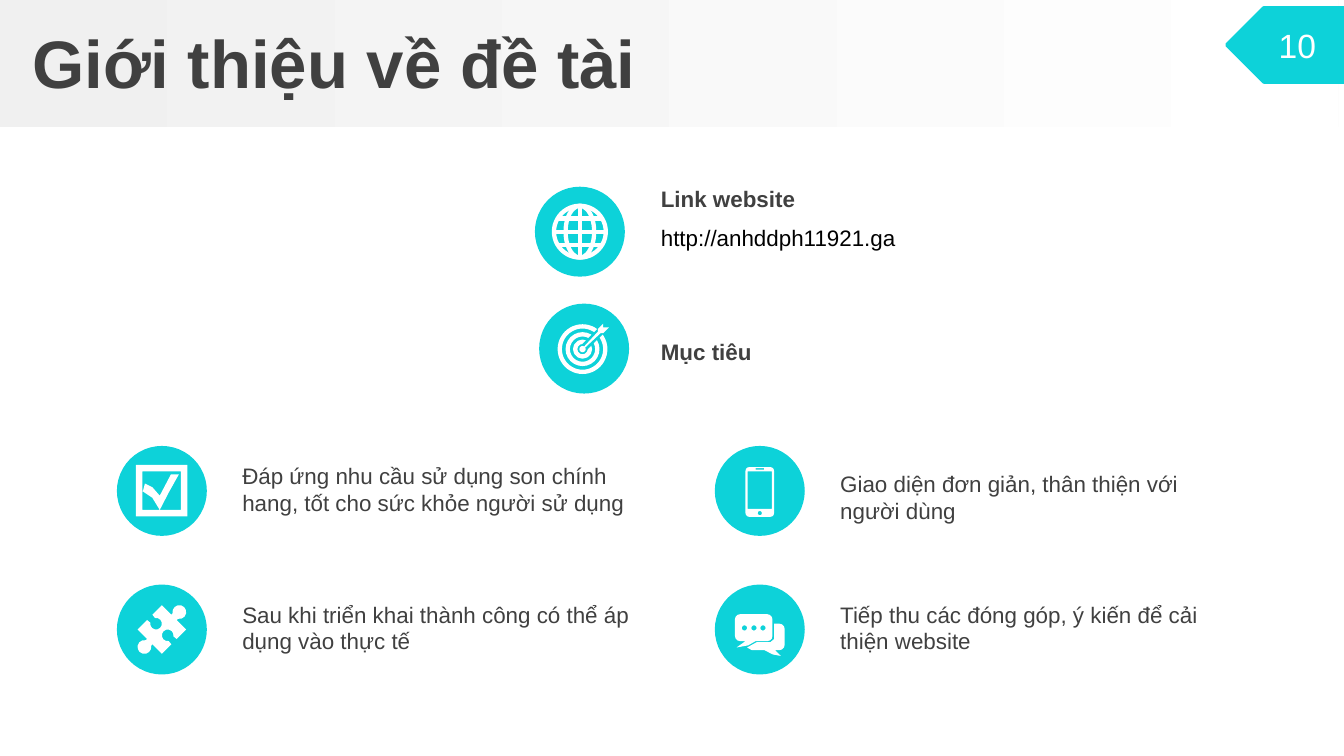
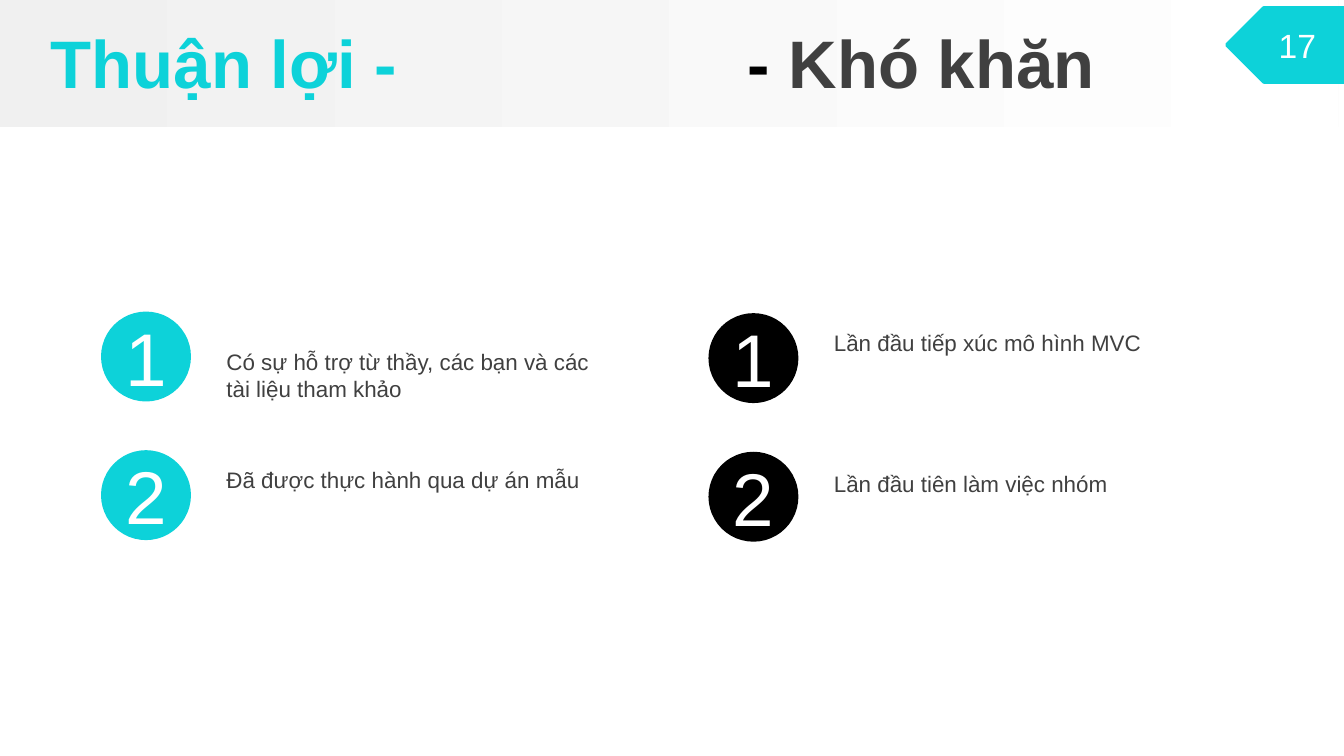
from dataclasses import dataclass
from math import cos, radians, sin

from lxml import etree
from pptx import Presentation
from pptx import util as u
from pptx.dml.color import RGBColor
from pptx.enum import shapes, text
from pptx.oxml.ns import qn


@dataclass(frozen=True)
class Theme:
    font: str = "Arial"
    cyan: str = "0DD2D9"
    dark: str = "404040"
    black: str = "000000"
    white: str = "FFFFFF"
    grey: str = "F0F0F0"
    head: int = 36
    digit: int = 40
    page: int = 18
    body: int = 12
    stroke: float = 2.3
    badge: float = 1.7
    gap: float = 2.12
    width: float = 7.87


def arc(x, y, r, start=0, end=360):
    count = max(2, round(abs(end - start) / 30))
    angles = [radians(start + (end - start) * i / count) for i in range(count + 1)]
    return [(x + r * cos(a), y + r * sin(a)) for a in angles]


def box(left, top, right, low, r=0):
    if not r:
        return [(left, top), (right, top), (right, low), (left, low)]
    return (arc(left + r, top + r, r, 180, 270) + arc(right - r, top + r, r, 270, 360)
            + arc(right - r, low - r, r, 0, 90) + arc(left + r, low - r, r, 90, 180))


def check():
    tick = [(-0.36, 0.01), (-0.32, -0.14), (-0.18, -0.07), (-0.04, 0.09), (0.17, -0.31),
            (0.32, -0.31), (0.13, 0.03), (-0.04, 0.36), (-0.18, 0.13)]
    return [box(-0.49, -0.49, 0.48, 0.48), box(-0.37, -0.37, 0.36, 0.36), tick]


def puzzle():
    half = ([(0, -0.46), (0.18, -0.28)] + arc(0.33, -0.33, 0.13, 170, 460)
            + [(0.28, -0.18), (0.46, 0), (0.28, 0.18)]
            + arc(0.11, 0.11, 0.11, 10, -280) + [(0.18, 0.28)])
    return [half + [(-x, -y) for x, y in half]]


def phone():
    return [box(-0.27, -0.45, 0.27, 0.49, 0.07), box(-0.23, -0.37, 0.23, 0.34),
            box(-0.08, -0.43, 0.08, -0.4), arc(0, 0.42, 0.04)]


def chat():
    back = ([(0.27, -0.11)] + arc(0.37, -0.01, 0.1, 270, 360) + arc(0.37, 0.29, 0.1, 0, 90)
            + [(0.29, 0.39), (0.4, 0.5), (0.24, 0.47), (0.09, 0.39), (-0.15, 0.39),
               (-0.24, 0.34), (-0.06, 0.24), (0.2, 0.24), (0.27, 0.18)])
    tail = [(-0.27, 0.22), (-0.08, 0.22), (-0.22, 0.3), (-0.44, 0.34)]
    dots = [arc(x, -0.03, 0.05) for x in (-0.29, -0.11, 0.06)]
    return [box(-0.47, -0.29, 0.24, 0.22, 0.1), tail, back] + dots


class Deck:
    def __init__(self, theme):
        self.theme = theme
        self.file = Presentation()
        self.file.slide_width, self.file.slide_height = u.Cm(25.4), u.Cm(14.29)
        self.slide = None

    def paint(self, shape, color):
        shape.shadow.inherit = False
        shape.fill.solid()
        shape.fill.fore_color.rgb = RGBColor.from_string(color)
        shape.line.fill.background()

    def edge(self, shape, color, width):
        shape.line.color.rgb = RGBColor.from_string(color)
        shape.line.width = u.Pt(width)

    def style(self, runs, size, color, bold=False):
        for run in runs:
            run.font.name, run.font.size, run.font.bold = self.theme.font, u.Pt(size), bold
            run.font.color.rgb = RGBColor.from_string(color)

    def shape(self, kind, left, top, width, height):
        return self.slide.shapes.add_shape(kind, *map(u.Cm, (left, top, width, height)))

    def label(self, shape, words, size):
        frame = shape.text_frame
        frame.text = words
        frame.word_wrap = False
        frame.vertical_anchor = text.MSO_ANCHOR.MIDDLE
        frame.paragraphs[0].alignment = text.PP_ALIGN.CENTER
        self.style(frame.paragraphs[0].runs, size, self.theme.white)

    def page(self, number):
        theme = self.theme
        self.slide = self.file.slides.add_slide(self.file.slide_layouts[6])
        band = self.shape(shapes.MSO_SHAPE.RECTANGLE, 0, 0, 25.3, 2.4)
        self.paint(band, theme.grey)
        band.fill.gradient()
        band.fill.gradient_angle = 0
        for stop, color in zip(band.fill.gradient_stops, (theme.grey, theme.white)):
            stop.color.rgb = RGBColor.from_string(color)
        flag = self.shape(shapes.MSO_SHAPE.PENTAGON, 23.19, 0.15, 2.31, 1.4)
        flag.element.spPr.find(qn("a:xfrm")).set("flipH", "1")
        self.paint(flag, theme.cyan)
        self.edge(flag, theme.cyan, 2)
        self.label(flag, str(number), theme.page)

    def title(self, left, width, *parts):
        area = self.slide.shapes.add_textbox(*map(u.Cm, (left, 0.08, width, 2.16)))
        frame = area.text_frame
        frame.word_wrap = True
        frame.margin_left = 0
        frame.vertical_anchor = text.MSO_ANCHOR.MIDDLE
        for words, color in parts:
            run = frame.paragraphs[0].add_run()
            run.text = words
            self.style([run], self.theme.head, color, True)

    def note(self, left, top, words, color=None, bold=False, lines=1):
        height = 0.25 + 0.51 * lines
        area = self.slide.shapes.add_textbox(*map(u.Cm, (left, top, self.theme.width, height)))
        frame = area.text_frame
        frame.word_wrap = True
        frame.text = words
        self.style(frame.paragraphs[0].runs, self.theme.body, color or self.theme.dark, bold)

    def badge(self, left, top, color, digit=None):
        size = self.theme.badge
        disc = self.shape(shapes.MSO_SHAPE.OVAL, left, top, size, size)
        self.paint(disc, color)
        if digit:
            frame = disc.text_frame
            frame.margin_left = frame.margin_right = frame.margin_top = frame.margin_bottom = 0
            self.label(disc, str(digit), self.theme.digit)

    def trace(self, x, y, parts):
        grid = [[(a * 1000, b * 1000) for a, b in part] for part in parts]
        pen = self.slide.shapes.build_freeform(*grid[0][0], scale=u.Cm(0.001))
        for i, part in enumerate(grid):
            if i:
                pen.move_to(*part[0])
            pen.add_line_segments(part[1:], close=True)
        self.paint(pen.convert_to_shape(u.Cm(x), u.Cm(y)), self.theme.white)

    def icon(self, left, top, parts):
        self.badge(left, top, self.theme.cyan)
        half = self.theme.badge / 2
        self.trace(left + half, top + half, parts)

    def ring(self, x, y, wide, high):
        oval = self.shape(shapes.MSO_SHAPE.OVAL, x - wide, y - high, 2 * wide, 2 * high)
        oval.shadow.inherit = False
        oval.fill.background()
        self.edge(oval, self.theme.white, self.theme.stroke)

    def rule(self, start, end, color, width):
        line = self.slide.shapes.add_connector(
            shapes.MSO_CONNECTOR.STRAIGHT, *map(u.Cm, start + end))
        self.edge(line, color, width)
        etree.SubElement(line.element.spPr, qn("a:effectLst"))

    def globe(self, left, top):
        theme = self.theme
        self.badge(left, top, theme.cyan)
        x, y = left + theme.badge / 2, top + theme.badge / 2
        for wide in (0.49, 0.27):
            self.ring(x, y, wide, 0.49)
        self.rule((x, y - 0.49), (x, y + 0.49), theme.white, theme.stroke)
        for rise, half in [(-0.25, 0.42), (0, 0.49), (0.25, 0.42)]:
            self.rule((x - half, y + rise), (x + half, y + rise), theme.white, theme.stroke)

    def target(self, left, top):
        theme = self.theme
        self.badge(left, top, theme.cyan)
        x, y = left + theme.badge / 2 - 0.03, top + theme.badge / 2 + 0.01
        for r in (0.43, 0.28, 0.14):
            self.ring(x, y, r, r)
        self.rule((x + 0.04, y - 0.04), (x + 0.42, y - 0.42), theme.cyan, 4)
        arrow = [(0.05, -0.03), (0.34, -0.3), (0.39, -0.3), (0.5, -0.41), (0.39, -0.41),
                 (0.39, -0.48), (0.29, -0.38), (0.29, -0.33), (0.03, -0.05)]
        self.trace(x, y, [arrow, arc(0, 0, 0.06)])


def intro(deck):
    theme = deck.theme
    deck.page(10)
    deck.title(0.61, 21, ("Giới thiệu về đề tài", theme.dark))
    deck.globe(10.11, 3.53)
    deck.note(12.24, 3.38, "Link website", bold=True)
    deck.note(12.24, 4.11, "http://anhddph11921.ga", theme.black)
    deck.target(10.19, 5.74)
    deck.note(12.24, 6.27, "Mục tiêu", bold=True)
    left, right, upper, lower = 2.21, 13.51, 8.43, 11.05
    goals = [
        (left, upper, 0.18, check,
         "Đáp ứng nhu cầu sử dụng son chính hang, tốt cho sức khỏe người sử dụng"),
        (left, lower, 0.18, puzzle, "Sau khi triển khai thành công có thể áp dụng vào thực tế"),
        (right, upper, 0.33, phone, "Giao diện đơn giản, thân thiện với người dùng"),
        (right, lower, 0.18, chat, "Tiếp thu các đóng góp, ý kiến để cải thiện website"),
    ]
    for x, y, drop, draw, words in goals:
        deck.icon(x, y, draw())
        deck.note(x + theme.gap, y + drop, words, lines=2)


def review(deck):
    theme = deck.theme
    deck.page(17)
    deck.title(0.96, 12, ("Thuận lợi -", theme.cyan))
    deck.title(14.13, 9, ("- ", theme.black), ("Khó khăn", theme.dark))
    sides = [
        (1.91, 5.89, theme.cyan, [
            (6.45, 2, "Có sự hỗ trợ từ thầy, các bạn và các tài liệu tham khảo"),
            (8.69, 1, "Đã được thực hành qua dự án mẫu")]),
        (13.39, 5.92, theme.black, [
            (6.1, 1, "Lần đầu tiếp xúc mô hình MVC"),
            (8.76, 1, "Lần đầu tiên làm việc nhóm")]),
    ]
    for x, top, color, points in sides:
        for i, (y, lines, words) in enumerate(points):
            deck.badge(x, top + 2.62 * i, color, i + 1)
            deck.note(x + theme.gap, y, words, lines=lines)


def main():
    deck = Deck(Theme())
    intro(deck)
    review(deck)
    deck.file.save("out.pptx")


if __name__ == "__main__":
    main()
